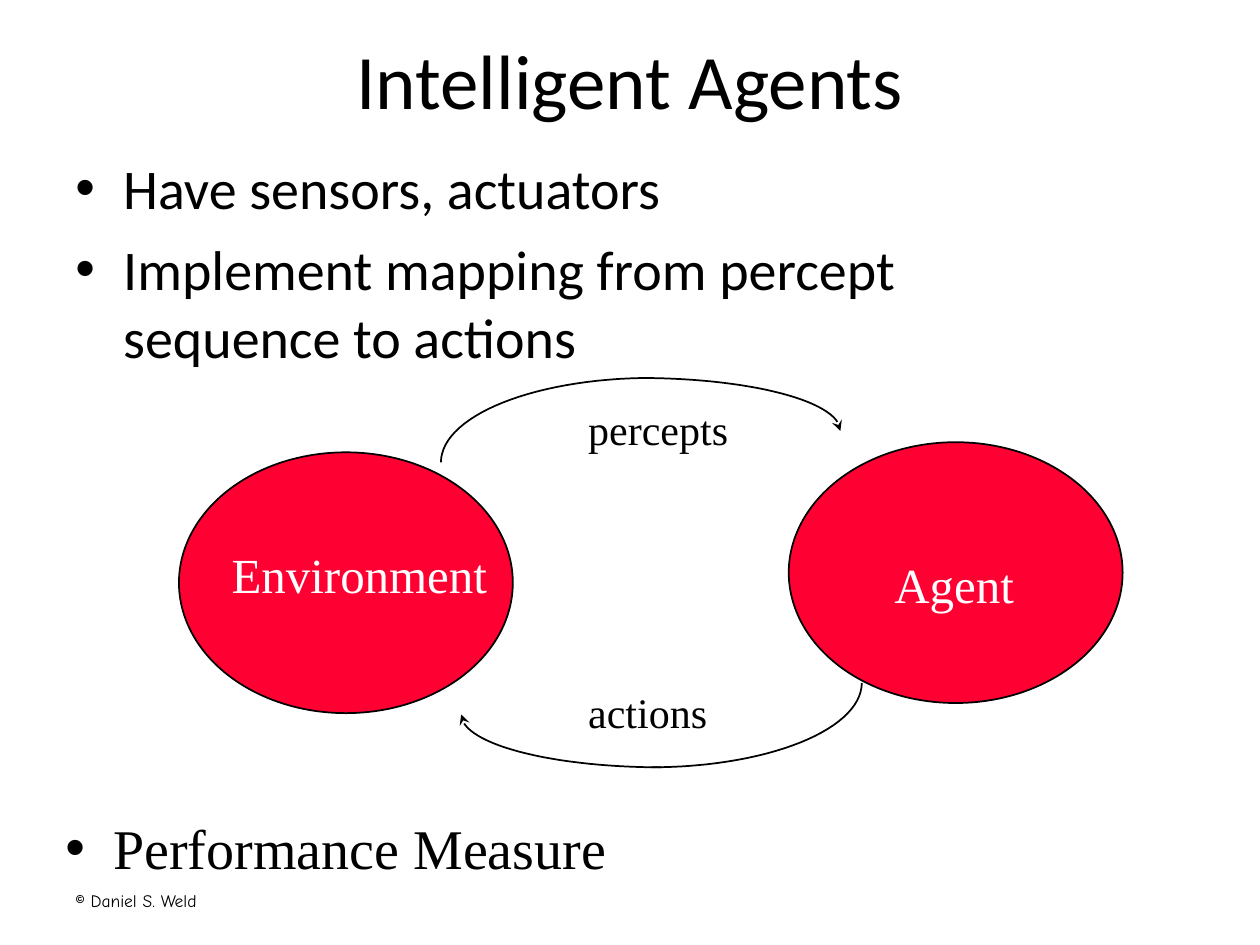
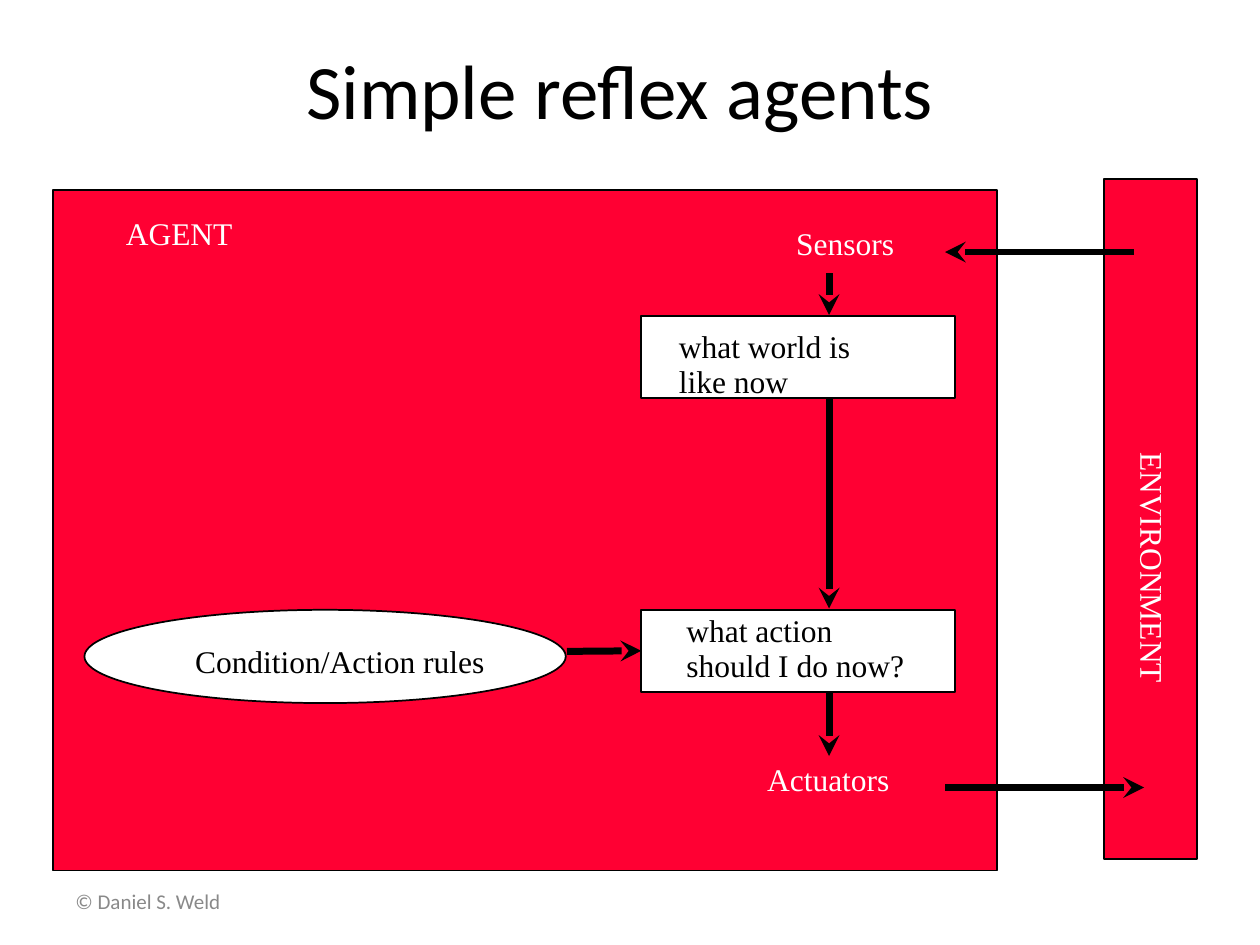
import math
from dataclasses import dataclass

from lxml import etree
from pptx import Presentation
from pptx.dml.color import RGBColor
from pptx.enum.shapes import MSO_CONNECTOR, MSO_SHAPE
from pptx.enum.text import MSO_ANCHOR, MSO_AUTO_SIZE, PP_ALIGN
from pptx.oxml.ns import qn
from pptx.util import Pt

PX = 9144  # 100 px to the inch
RECTANGLE, OVAL = MSO_SHAPE.RECTANGLE, MSO_SHAPE.OVAL
STRAIGHT = MSO_CONNECTOR.STRAIGHT
TOP, MIDDLE = MSO_ANCHOR.TOP, MSO_ANCHOR.MIDDLE
LEFT, CENTER = PP_ALIGN.LEFT, PP_ALIGN.CENTER
FIT_SHAPE, FIXED = MSO_AUTO_SIZE.SHAPE_TO_FIT_TEXT, MSO_AUTO_SIZE.NONE


@dataclass(frozen=True)
class Theme:
    red: RGBColor = RGBColor(0xFF, 0x00, 0x33)
    white: RGBColor = RGBColor(0xFF, 0xFF, 0xFF)
    black: RGBColor = RGBColor(0x00, 0x00, 0x00)
    gray: RGBColor = RGBColor(0x89, 0x89, 0x89)
    sans: str = "Calibri"
    serif: str = "Times New Roman"
    comic: str = "Comic Neue"
    title: int = 44
    body: int = 32
    node: int = 28
    flow: int = 24
    label: int = 18
    footer: int = 12
    small_footer: int = 10


THEME = Theme()


def add_text(slide, box, text, size, color, font=THEME.serif, wrap=False,
             align=LEFT, anchor=TOP, bullets=False, line_spacing=None):
    shape = slide.shapes.add_textbox(*(value * PX for value in box))
    frame = shape.text_frame
    frame.text = text
    frame.word_wrap = wrap
    frame.auto_size = FIXED if wrap else FIT_SHAPE
    frame.vertical_anchor = anchor
    for index, paragraph in enumerate(frame.paragraphs):
        paragraph.alignment = align
        paragraph.line_spacing = line_spacing
        if bullets:
            properties = paragraph._p.get_or_add_pPr()
            properties.set("marL", str(38 * PX))
            properties.set("indent", str(-38 * PX))
            etree.SubElement(properties, qn("a:buFont"), typeface="Arial")
            etree.SubElement(properties, qn("a:buChar"), char="•")
            if index:
                paragraph.space_before = Pt(8)
        for run in paragraph.runs:
            run.font.name = font
            run.font.size = Pt(size)
            run.font.color.rgb = color
    return shape


def add_solid(slide, kind, box, color):
    shape = slide.shapes.add_shape(kind, *(value * PX for value in box))
    shape.shadow.inherit = False
    shape.fill.solid()
    shape.fill.fore_color.rgb = color
    shape.line.color.rgb = THEME.black
    shape.line.width = Pt(1)
    return shape


presentation = Presentation()
presentation.slide_width = 1000 * PX
presentation.slide_height = 750 * PX

# Titles and footers
slides = []
for title, title_left, title_top, footer_style in (
    ("Intelligent Agents", 75, 0,
     (THEME.small_footer, THEME.black, THEME.comic)),
    ("Simple reflex agents", 67, 8,
     (THEME.footer, THEME.gray, THEME.sans)),
):
    slide = presentation.slides.add_slide(presentation.slide_layouts[6])
    add_text(slide, (50, 695, 233, 40), "© Daniel S. Weld", *footer_style,
             wrap=True, anchor=MIDDLE)
    add_text(slide, (title_left, title_top, 850, 125), title, THEME.title,
             THEME.black, THEME.sans, wrap=True, align=CENTER, anchor=MIDDLE)
    slides.append(slide)
agents_slide, reflex_slide = slides

# Intelligent agents: bullets
for box, text, font in (
    ((50, 117, 850, 450), "Have sensors, actuators\n"
     "Implement mapping from percept sequence to actions", THEME.sans),
    ((42, 641, 850, 75), "Performance Measure", THEME.serif),
):
    add_text(agents_slide, box, text, THEME.body, THEME.black, font,
             wrap=True, bullets=True)

# Environment and agent
for left, top in ((142, 359), (626, 351)):
    add_solid(agents_slide, OVAL, (left, top, 265, 207), THEME.red)
for box, text, size, color in (
    ((174, 427, 223, 57), "Environment", THEME.node, THEME.white),
    ((700, 435, 115, 57), "Agent", THEME.node, THEME.white),
    ((457, 315, 131, 50), "percepts", THEME.flow, THEME.black),
    ((457, 540, 115, 50), "actions", THEME.flow, THEME.black),
):
    add_text(agents_slide, box, text, size, color)

# Loop of percepts and actions: quarter ellipses, every second one an arrow
STEPS = 30
arrows = []
for center_x, center_y, radius_x, radius_y, start, has_head in (
    (517, 367, 167, 67, 180, False),
    (508, 342, 159, 42, 270, True),
    (517, 542, 167, 67, 0, False),
    (525, 567, 159, 42, 90, True),
):
    angles = [math.radians(start + 90 * step / STEPS)
              for step in range(STEPS + 1)]
    points = [((center_x + radius_x * math.cos(angle)) * PX,
               (center_y + radius_y * math.sin(angle)) * PX)
              for angle in angles]
    builder = agents_slide.shapes.build_freeform(*points[0])
    builder.add_line_segments(points[1:], close=False)
    curve = builder.convert_to_shape()
    curve.shadow.inherit = False
    curve.fill.background()
    curve.line.color.rgb = THEME.black
    curve.line.width = Pt(1)
    if has_head:
        arrows.append(curve)

# Simple reflex agents: environment, agent and its parts
add_solid(reflex_slide, RECTANGLE, (876, 142, 74, 540), THEME.red)
add_solid(reflex_slide, RECTANGLE, (42, 151, 749, 540), THEME.red)
add_solid(reflex_slide, RECTANGLE, (509, 251, 249, 65), THEME.white)
action_box = add_solid(reflex_slide, RECTANGLE, (509, 484, 249, 65),
                       THEME.white)
add_solid(reflex_slide, OVAL, (67, 484, 382, 74), THEME.white)

# Arrows from part to part
for start_x, start_y, end_x, end_y in (
    (900, 200, 750, 200),
    (750, 625, 908, 625),
    (658, 217, 658, 250),
    (658, 317, 658, 483),
    (658, 550, 658, 600),
    (450, 517, 509, 517),
):
    connector = reflex_slide.shapes.add_connector(
        STRAIGHT, start_x * PX, start_y * PX, end_x * PX, end_y * PX)
    connector.line.color.rgb = THEME.black
    connector.line.width = Pt(4)
    etree.SubElement(connector._element.spPr, qn("a:effectLst"))
    arrows.append(connector)
rules_arrow = arrows[-1]
rules_arrow.end_connect(action_box, 1)

for arrow in arrows:
    etree.SubElement(arrow.line._get_or_add_ln(), qn("a:tailEnd"),
                     type="stealth")

# Labels
for box, text, rotation in (
    ((813, 431, 204, 40), "ENVIRONMENT", 90),
    ((90, 165, 105, 40), "AGENT", 0),
    ((599, 598, 117, 40), "Actuators", 0),
    ((622, 173, 98, 40), "Sensors", 0),
):
    label = add_text(reflex_slide, box, text, THEME.label, THEME.white)
    label.rotation = rotation
for box, text in (
    ((529, 257, 156, 66), "what world is\nlike now"),
    ((145, 507, 250, 38), "Condition/Action rules"),
    ((535, 482, 193, 66), "what action\nshould I do now?"),
):
    add_text(reflex_slide, box, text, THEME.label, THEME.black,
             line_spacing=Pt(20))

presentation.save("out.pptx")
